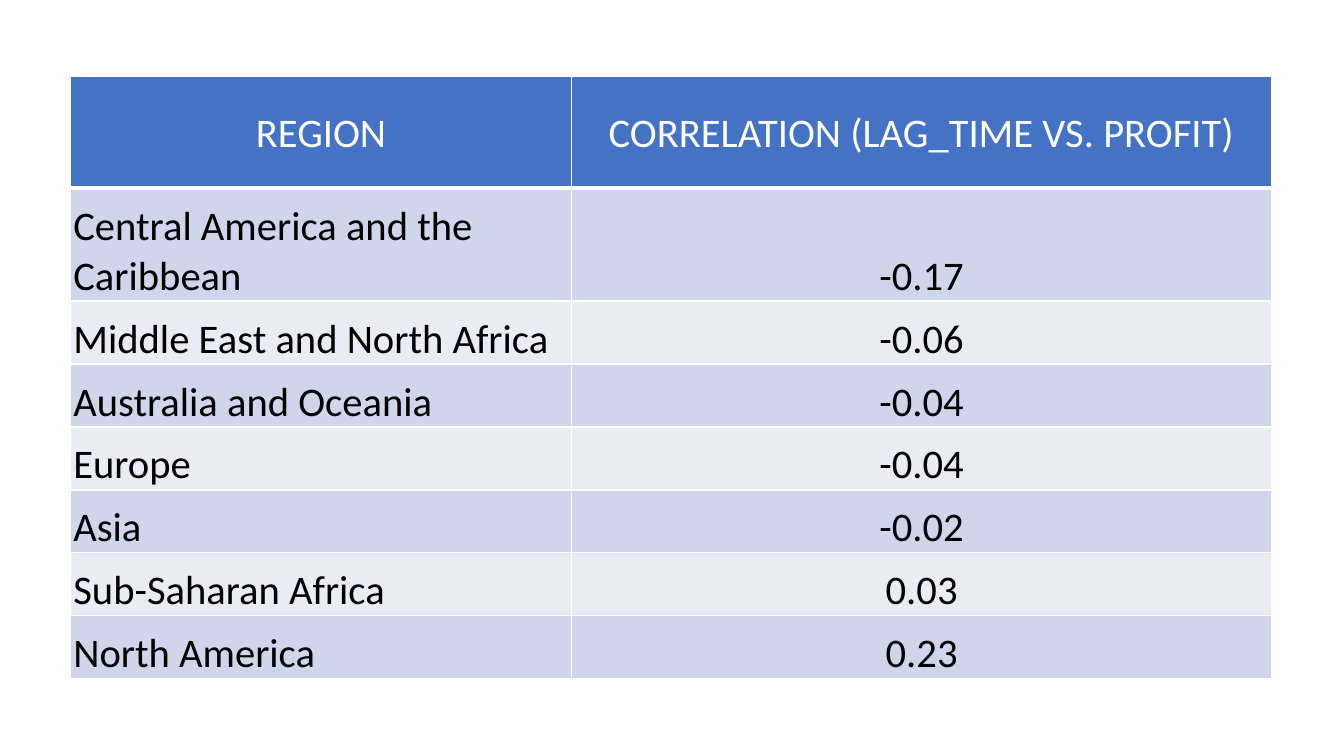
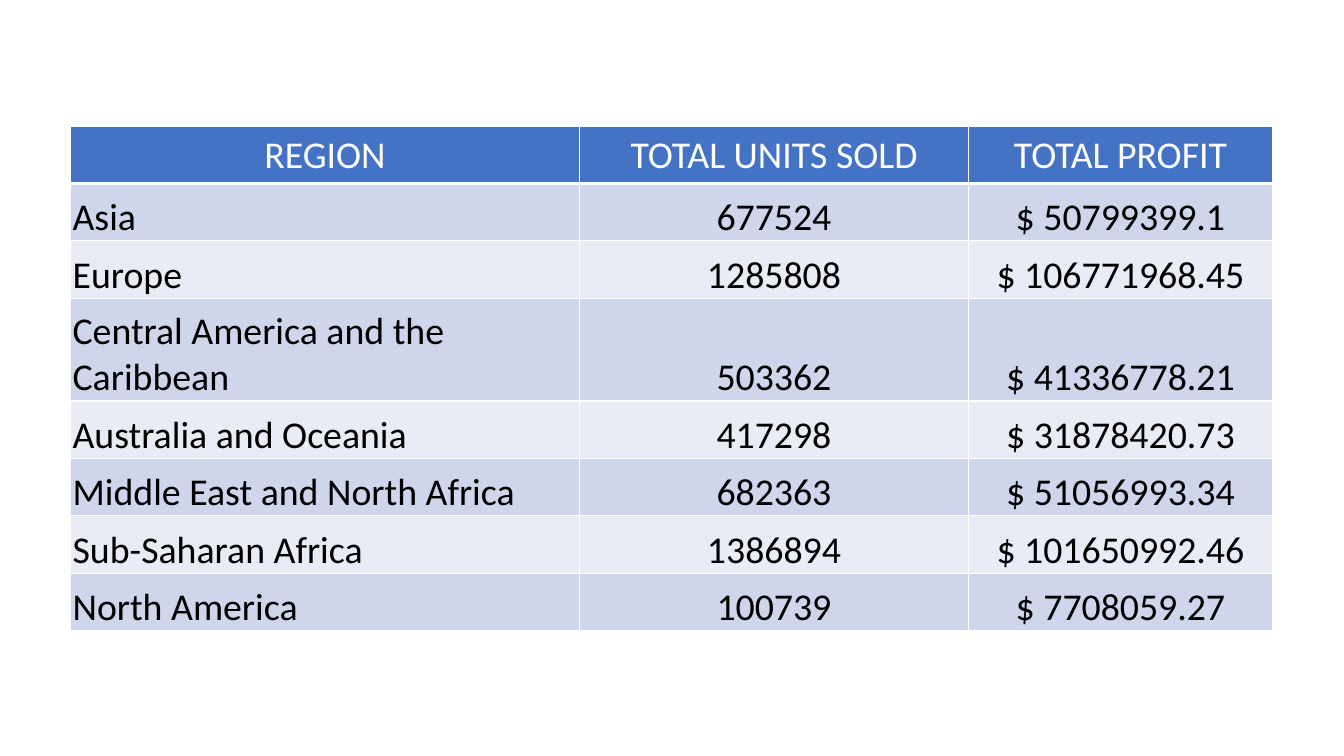
"""Build two slides of regional sales tables."""
from dataclasses import dataclass

from lxml import etree
from pptx import Presentation
from pptx.dml.color import RGBColor
from pptx.enum import text
from pptx.oxml import ns
from pptx.util import Pt


@dataclass(frozen=True)
class Theme:
    font: str = "Calibri"
    header: str = "4472C4"
    bands: tuple = ("CFD5EA", "E9EBF5")
    header_text: str = "FFFFFF"
    body_text: str = "000000"
    border: str = "FFFFFF"
    correlation_size: int = 29
    totals_size: int = 27


def set_borders(cell, widths):
    tc_pr = cell._tc.get_or_add_tcPr()
    for i, (side, width) in enumerate(zip("LRTB", widths)):
        ln = etree.Element(ns.qn(f"a:ln{side}"), w=str(Pt(width)))
        fill = etree.SubElement(ln, ns.qn("a:solidFill"))
        etree.SubElement(fill, ns.qn("a:srgbClr"), val=theme.border)
        tc_pr.insert(i, ln)


def add_region_table(slide, top, widths, heights, size, inset, rows):
    table = slide.shapes.add_table(
        len(rows), len(widths), Pt(50.4), Pt(top), Pt(sum(widths)), Pt(sum(heights))
    ).table
    for column, width in zip(table.columns, widths):
        column.width = Pt(width)
    for r, (values, height) in enumerate(zip(rows, heights)):
        table.rows[r].height = Pt(height)
        is_header = r == 0
        for c, value in enumerate(values):
            cell = table.cell(r, c)
            cell.text = value
            cell.margin_left = cell.margin_right = cell.margin_top = Pt(inset)
            cell.margin_bottom = 0
            cell.vertical_anchor = (
                text.MSO_ANCHOR.MIDDLE if is_header else text.MSO_ANCHOR.BOTTOM
            )
            cell.fill.solid()
            cell.fill.fore_color.rgb = RGBColor.from_string(
                theme.header if is_header else theme.bands[(r - 1) % 2]
            )
            set_borders(cell, (1, 1, 1, 3 if is_header else 1))
            p = cell.text_frame.paragraphs[0]
            p.alignment = (
                text.PP_ALIGN.CENTER if is_header or c > 0 else text.PP_ALIGN.LEFT
            )
            p.font.name = theme.font
            p.font.size = Pt(size)
            p.font.bold = False
            p.font.color.rgb = RGBColor.from_string(
                theme.header_text if is_header else theme.body_text
            )


theme = Theme()
prs = Presentation()
prs.slide_width, prs.slide_height = Pt(960), Pt(540)
blank = prs.slide_layouts[6]

correlations = [
    ("REGION", "CORRELATION (LAG_TIME VS. PROFIT)"),
    ("Central America and the Caribbean", "-0.17"),
    ("Middle East and North Africa", "-0.06"),
    ("Australia and Oceania", "-0.04"),
    ("Europe", "-0.04"),
    ("Asia", "-0.02"),
    ("Sub-Saharan Africa", "0.03"),
    ("North America", "0.23"),
]
add_region_table(
    prs.slides.add_slide(blank), 54.5, (358, 500), [80] + [80.5] + [45] * 6,
    theme.correlation_size, 2, correlations,
)

totals = [
    ("REGION", "TOTAL UNITS SOLD", "TOTAL PROFIT"),
    ("Asia", "677524", "$ 50799399.1"),
    ("Europe", "1285808", "$ 106771968.45"),
    ("Central America and the Caribbean", "503362", "$ 41336778.21"),
    ("Australia and Oceania", "417298", "$ 31878420.73"),
    ("Middle East and North Africa", "682363", "$ 51056993.34"),
    ("Sub-Saharan Africa", "1386894", "$ 101650992.46"),
    ("North America", "100739", "$ 7708059.27"),
]
add_region_table(
    prs.slides.add_slide(blank), 90, (363.5, 278, 217), [41] * 3 + [73.5] + [41] * 4,
    theme.totals_size, 1.5, totals,
)

prs.save("out.pptx")
